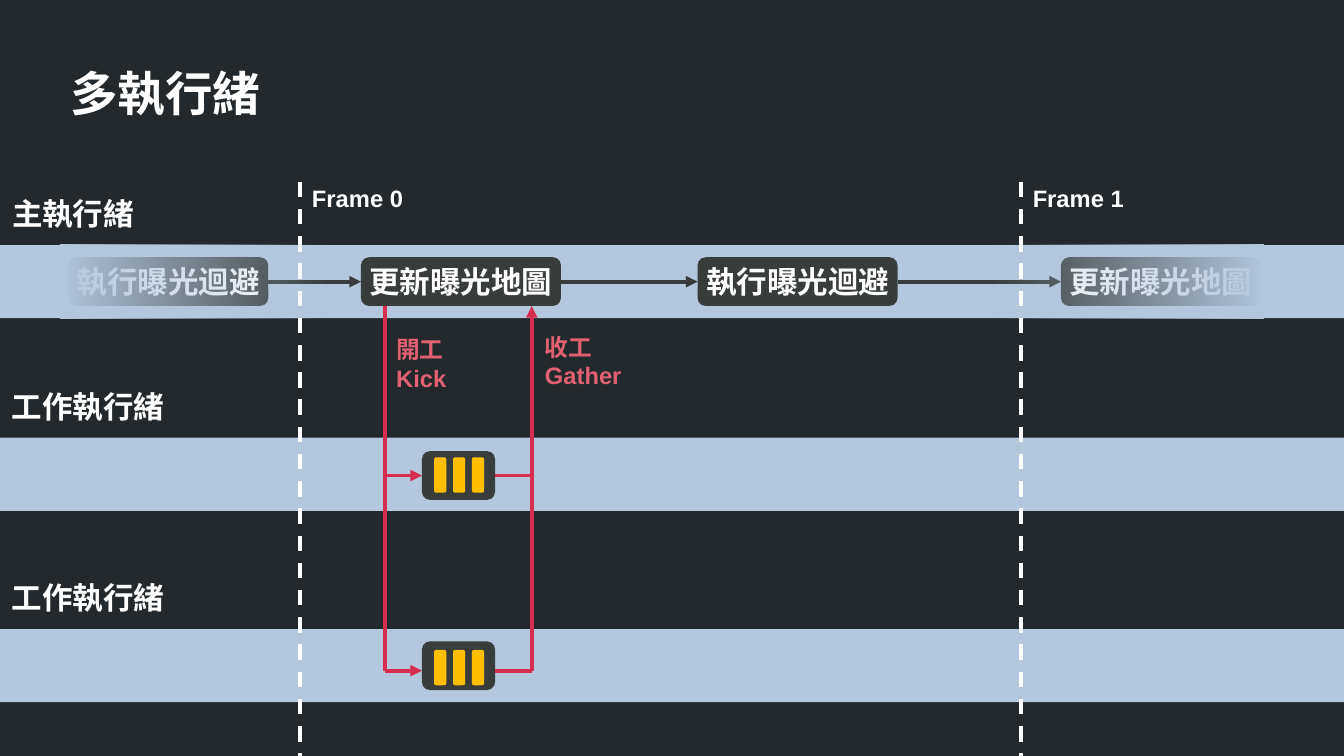
from lxml import etree
from pptx import Presentation
from pptx.dml.color import RGBColor
from pptx.enum.dml import MSO_LINE_DASH_STYLE as Dash
from pptx.enum.shapes import MSO_CONNECTOR as Link, MSO_SHAPE as Kind
from pptx.enum.text import MSO_ANCHOR as Anchor, PP_ALIGN as Align
from pptx.oxml.ns import qn
from pptx.util import Inches, Pt

# Content: lengths in inches
WIDTH, HEIGHT = 11.02, 6.2
BACK, BAND, BOX, BAR = "22282B", "B4C7DC", "383D3C", "FFBF00"
WHITE, RED, PINK = "FFFFFF", "D62E4E", "E16173"

TITLE = "多執行緒"
THREADS = [("主執行緒", 2.01), ("工作執行緒", 3.59), ("工作執行緒", 5.16)]
FRAMES = [("Frame 0", 2.46), ("Frame 1", 8.37)]
STEPS = [("執行曝光迴避", 0.56), ("更新曝光地圖", 2.96),
         ("執行曝光迴避", 5.72), ("更新曝光地圖", 8.7)]
JOBS = [(3.7, 3.75, 3.9), (5.26, 5.33, 5.5)]  # box top, bar top, link height
SIGNALS = [(["開工", "Kick"], 3.15, 2.7, 0.65), (["收工", "Gather"], 4.37, 2.68, 2.88)]
FADES = [(0.5, 2.2, 0), (8.13, 2.23, 180)]  # left, width, angle

BAND_H, BOX_H = 0.6, 0.4
STEP_W, STEP_TOP = 1.64, 2.11
JOB_X, JOB_W = 3.46, 0.6
KICK_X, GATHER_X = 3.16, 4.36
BAR_X, BAR_W, BAR_H, BAR_PITCH = 3.56, 0.1, 0.29, 0.155

deck = Presentation()
deck.slide_width, deck.slide_height = Inches(WIDTH), Inches(HEIGHT)
slide = deck.slides.add_slide(deck.slide_layouts[6])


def paint(target, color):
    target.solid()
    target.fore_color.rgb = RGBColor.from_string(color)


def write(frame, lines, size, font, color, align=Align.LEFT):
    for i, line in enumerate(lines):
        para = frame.paragraphs[0] if i == 0 else frame.add_paragraph()
        para.alignment = align
        run = para.add_run()
        run.text = line
        run.font.size, run.font.name, run.font.bold = Pt(size), font, True
        run.font.color.rgb = RGBColor.from_string(color)


def label(lines, x, y, w, h, size, color=WHITE, font="Arial"):
    frame = slide.shapes.add_textbox(*map(Inches, (x, y, w, h))).text_frame
    frame.word_wrap = True
    write(frame, lines, size, font, color)


def block(kind, x, y, w, h, color=None):
    shape = slide.shapes.add_shape(kind, *map(Inches, (x, y, w, h)))
    shape.shadow.inherit = False
    shape.line.fill.background()
    if color:
        paint(shape.fill, color)
    return shape


def connect(x1, y1, x2, y2, color, arrow=False, dash=None):
    link = slide.shapes.add_connector(Link.STRAIGHT, *map(Inches, (x1, y1, x2, y2)))
    paint(link.line.fill, color)
    link.line.width = Pt(2.3)
    if dash:
        link.line.dash_style = dash
    props = link._element.spPr
    if arrow:
        etree.SubElement(props.find(qn("a:ln")), qn("a:tailEnd"), type="triangle")
    etree.SubElement(props, qn("a:effectLst"))


def step(text, x):
    shape = block(Kind.ROUNDED_RECTANGLE, x, STEP_TOP, STEP_W, BOX_H, BOX)
    frame = shape.text_frame
    frame.word_wrap = False
    frame.vertical_anchor = Anchor.MIDDLE
    write(frame, [text], 18, "Calibri", WHITE, Align.CENTER)


def fade(x, w, angle):
    fill = block(Kind.RECTANGLE, x, THREADS[0][1], w, BAND_H).fill
    fill.gradient()
    fill.gradient_angle = angle
    for stop in fill.gradient_stops:
        stop.color.rgb = RGBColor.from_string(BAND)
    clear = fill._xPr.findall(".//" + qn("a:srgbClr"))[-1]
    etree.SubElement(clear, qn("a:alpha"), val="0")


# Background, title and thread bands
paint(slide.background.fill, BACK)
label([TITLE], 0.48, 0.48, 3.02, 0.92, 28, font="Calibri")
for name, top in THREADS:
    block(Kind.RECTANGLE, 0, top, WIDTH, BAND_H, BAND)
    label([name], 0, top - 0.46, 0.25 * len(name) + 0.25, 0.43, 18)

# Arrows between main-thread steps
for (_, x), (_, next_x) in zip(STEPS, STEPS[1:]):
    middle = STEP_TOP + BOX_H / 2
    connect(x + STEP_W, middle, next_x, middle, BOX, arrow=True)

# Last step fades out behind the frame lines
step(*STEPS[-1])
fade(*FADES[1])

# Frame boundaries
for name, x in FRAMES:
    label([name], x, 1.46, 1, 0.32, 14)
    connect(x, 1.49, x, HEIGHT, WHITE, dash=Dash.DASH)

# Worker jobs
for box_top, bar_top, _ in JOBS:
    block(Kind.ROUNDED_RECTANGLE, JOB_X, box_top, JOB_W, BOX_H, BOX)
    for i in range(3):
        block(Kind.ROUNDED_RECTANGLE, BAR_X + i * BAR_PITCH, bar_top, BAR_W, BAR_H, BAR)

# Kick and gather lines
step_bottom, last_link = STEP_TOP + BOX_H, JOBS[-1][2]
connect(KICK_X, step_bottom, KICK_X, last_link, RED)
connect(GATHER_X, last_link, GATHER_X, step_bottom, RED, arrow=True)
for _, _, y in JOBS:
    connect(KICK_X, y, JOB_X, y, RED, arrow=True)
    connect(JOB_X + JOB_W, y, GATHER_X, y, RED)
for lines, x, y, w in SIGNALS:
    label(lines, x, y, w, 0.58, 14, PINK)

# Remaining steps, the first one fading in
for text, x in STEPS[:-1]:
    step(text, x)
fade(*FADES[0])

deck.save("out.pptx")
